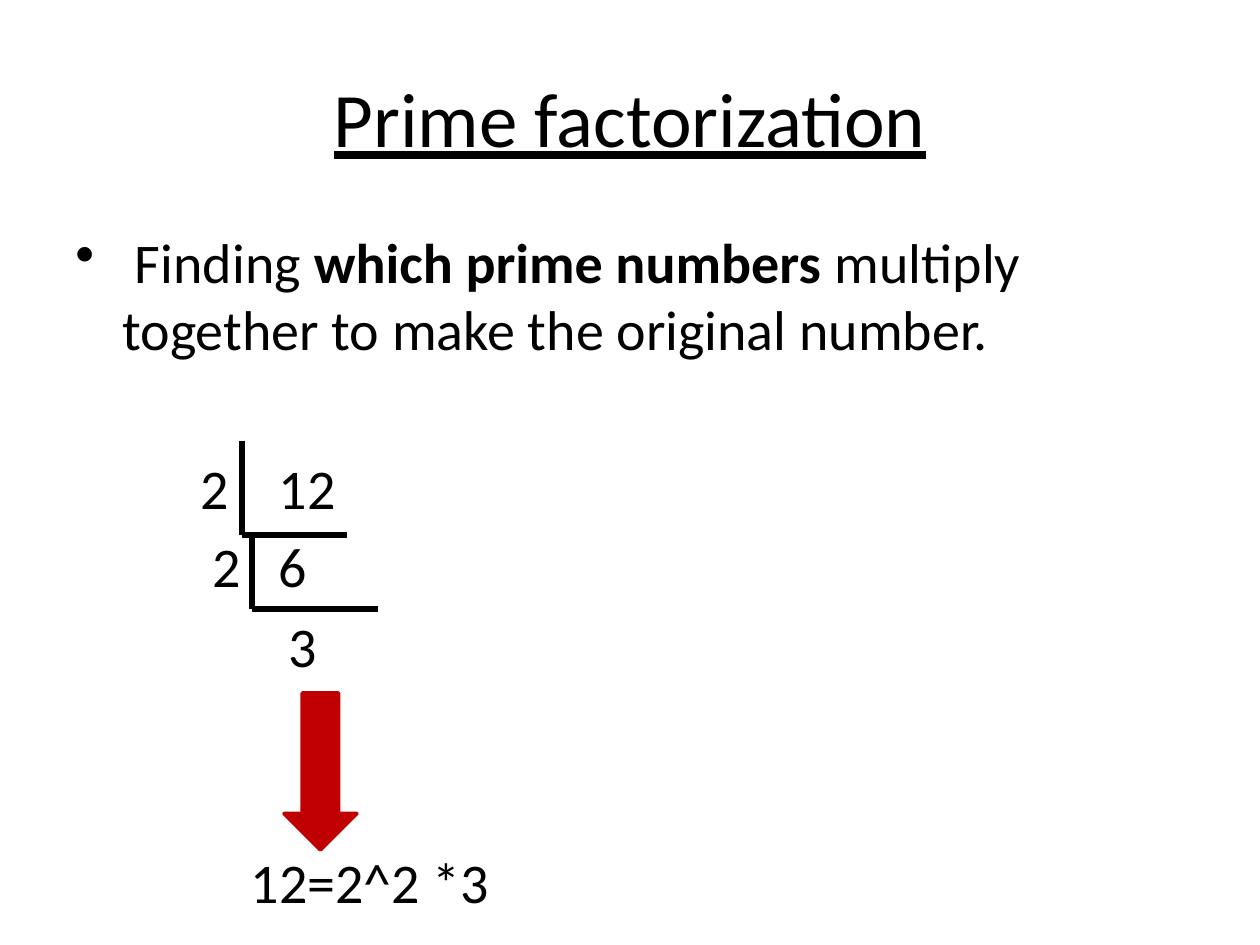
import pptx
import pptx.util
import pptx.dml.color
import pptx.enum.shapes
import pptx.enum.text
import lxml.etree

SCALE = 914400 // 126
HUES = {"ink": "000000", "red": "C00000"}
ALIGN = pptx.enum.text.PP_ALIGN


def paint(target, name):
    target.rgb = pptx.dml.color.RGBColor.from_string(HUES[name])


def style(par, size, align):
    par.alignment = align
    par.font.size = pptx.util.Pt(size)
    par.font.name = "Calibri"
    paint(par.font.color, "ink")


deck = pptx.Presentation()
deck.slide_width, deck.slide_height = 1260 * SCALE, 945 * SCALE
slide = deck.slides.add_slide(deck.slide_layouts[5])
shapes = slide.shapes

# Title
title = shapes.title
title.left, title.top, title.width, title.height = [n * SCALE for n in (63, 38, 1134, 157)]
title.text_frame.text = "Prime factorization"
title.text_frame.vertical_anchor = pptx.enum.text.MSO_ANCHOR.MIDDLE
par = title.text_frame.paragraphs[0]
style(par, 44, ALIGN.CENTER)
par.font.underline = True

# Definition with a bullet
box = shapes.add_textbox(*[n * SCALE for n in (63, 221, 1134, 160)])
box.text_frame.word_wrap = True
par = box.text_frame.paragraphs[0]
style(par, 32, ALIGN.LEFT)
for text, bold in [
    (" Finding ", False),
    ("which prime numbers", True),
    (" multiply together to make the original number.", False),
]:
    run = par.add_run()
    run.text = text
    run.font.bold = bold
props = par._p.get_or_add_pPr()
props.set("marL", str(47 * SCALE))
props.set("indent", str(-47 * SCALE))
mark = lxml.etree.SubElement(props, pptx.oxml.ns.qn("a:buChar"))
mark.set("char", "•")
props.insert(0, mark)

# Division ladder and result: left, row, text
TOP, STEP = 453, 79
for left, row, text in [
    (201, 0, "2"), (279, 0, "12"),
    (213, 1, "2"), (279, 1, "6"),
    (289, 2, "3"),
    (251, 5, "12=2^2 *3"),
]:
    width = 30 * len(text) + 10
    box = shapes.add_textbox(*[n * SCALE for n in (left, TOP + row * STEP, width, 68)])
    frame = box.text_frame
    frame.margin_left = frame.margin_right = frame.margin_top = frame.margin_bottom = 0
    frame.word_wrap = True
    frame.text = text
    style(frame.paragraphs[0], 32, ALIGN.LEFT)

# Ladder lines
for ends in [
    (242, 441, 242, 535), (347, 535, 242, 535),
    (252, 535, 252, 609), (252, 609, 378, 609),
]:
    line = shapes.add_connector(
        pptx.enum.shapes.MSO_CONNECTOR.STRAIGHT, *[n * SCALE for n in ends])
    line.line.width = pptx.util.Pt(3)
    paint(line.line.color, "ink")
    lxml.etree.SubElement(line._element.spPr, pptx.oxml.ns.qn("a:effectLst"))

# Arrow to the result
arrow = shapes.add_shape(
    pptx.enum.shapes.MSO_SHAPE.DOWN_ARROW, *[n * SCALE for n in (284, 693, 73, 157)])
arrow.shadow.inherit = False
arrow.fill.solid()
paint(arrow.fill.fore_color, "red")
paint(arrow.line.color, "red")
arrow.line.width = pptx.util.Pt(2)

deck.save("out.pptx")
